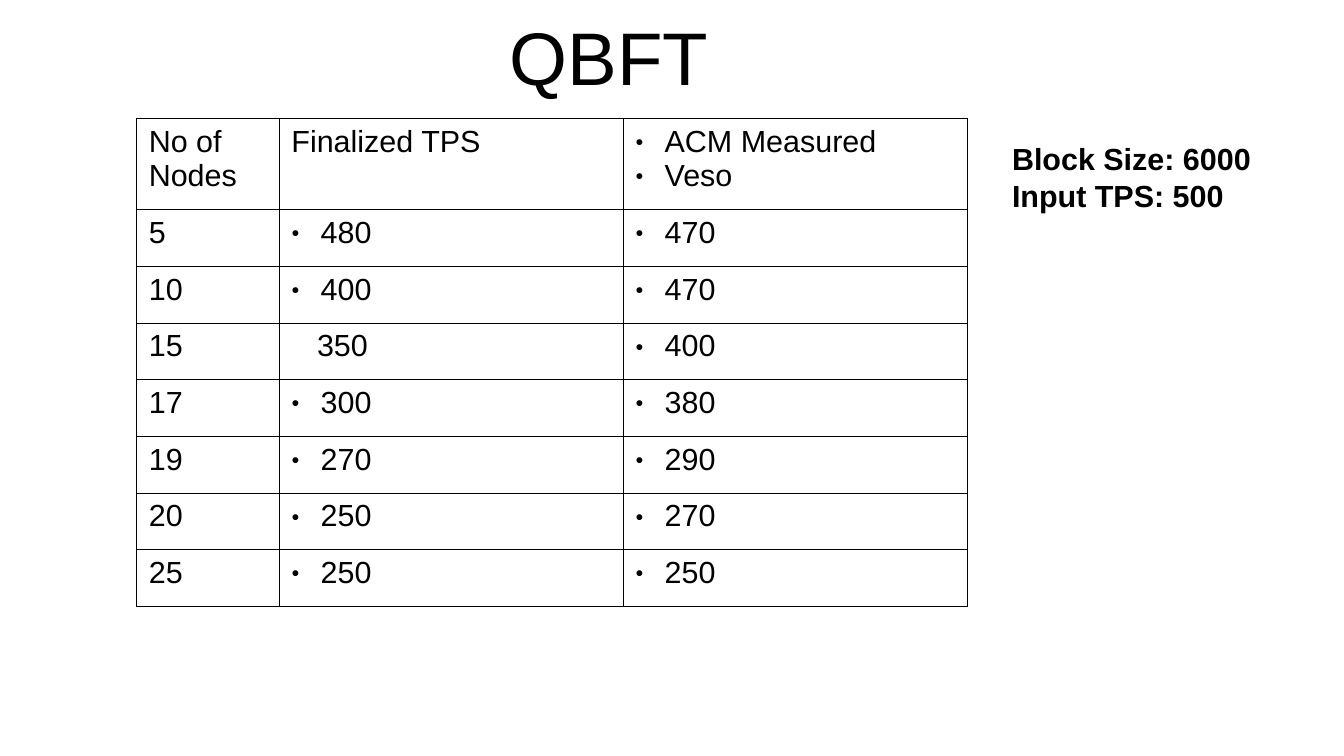
from lxml import etree
from pptx import Presentation, util as u
from pptx.dml.color import RGBColor
from pptx.enum import text
from pptx.oxml import ns

# Content
TITLE = "QBFT "
HEADERS = ("No of Nodes", "Finalized TPS", "ACM Measured\nVeso")
RESULTS = [
    ("5", "480", "470"),
    ("10", "400", "470"),
    ("15", "350", "400"),
    ("17", "300", "380"),
    ("19", "270", "290"),
    ("20", "250", "270"),
    ("25", "250", "250"),
]
SETTINGS = ("Block Size: 6000", "Input TPS: 500")
UNBULLETED = (3, 1)  # row and column of the plain indented value

# Style
BLACK = RGBColor(0x00, 0x00, 0x00)
FONT = "Arial"
BODY_SIZE = 18
BORDER_WIDTH = u.Pt(0.57)
BULLET_INDENT = u.Inches(0.24)
PLAIN_INDENT = u.Inches(0.21)
COLUMN_WIDTHS = (1.17, 2.82, 2.82)
HEADER_HEIGHT, ROW_HEIGHT = 0.75, 0.465


def add_run(paragraph, words, size=BODY_SIZE, bold=False):
    run = paragraph.add_run()
    run.text = words
    run.font.name = FONT
    run.font.size = u.Pt(size)
    run.font.bold = bold
    run.font.color.rgb = BLACK


def add_lines(frame, lines, bold=False):
    paragraphs = [frame.paragraphs[0]]
    paragraphs += [frame.add_paragraph() for _ in lines[1:]]
    for paragraph, line in zip(paragraphs, lines):
        add_run(paragraph, line, bold=bold)
    return paragraphs


def add_element(parent, tag, **attributes):
    element = etree.SubElement(parent, ns.qn(tag))
    for name, value in attributes.items():
        element.set(name, str(value))
    return element


def add_bullet(paragraph):
    properties = paragraph._p.get_or_add_pPr()
    properties.set("marL", str(BULLET_INDENT))
    properties.set("indent", str(-BULLET_INDENT))
    color = add_element(properties, "a:buClr")
    add_element(color, "a:srgbClr", val=BLACK)
    add_element(properties, "a:buSzPct", val=45000)
    add_element(properties, "a:buFont", typeface=FONT)
    add_element(properties, "a:buChar", char="●")


def add_borders(cell):
    properties = cell._tc.get_or_add_tcPr()
    for position, side in enumerate(("a:lnL", "a:lnR", "a:lnT", "a:lnB")):
        line = add_element(properties, side, w=BORDER_WIDTH)
        fill = add_element(line, "a:solidFill")
        add_element(fill, "a:srgbClr", val=BLACK)
        properties.insert(position, line)


def fill_cell(cell, words, row, column):
    cell.fill.background()
    add_borders(cell)
    paragraphs = add_lines(cell.text_frame, words.split("\n"))
    if (row, column) == UNBULLETED:
        paragraphs[0]._p.get_or_add_pPr().set("marL", str(PLAIN_INDENT))
    elif column == 2 or (column == 1 and row > 0):
        for paragraph in paragraphs:
            add_bullet(paragraph)


def add_title(slide):
    title = slide.shapes.title
    title.left, title.top = u.Inches(1.7), u.Inches(0.12)
    title.width, title.height = u.Inches(6.75), u.Inches(0.68)
    frame = title.text_frame
    frame.auto_size = text.MSO_AUTO_SIZE.NONE
    frame.vertical_anchor = text.MSO_ANCHOR.MIDDLE
    frame.margin_left = frame.margin_right = 0
    frame.margin_top = frame.margin_bottom = 0
    frame.paragraphs[0].alignment = text.PP_ALIGN.CENTER
    add_run(frame.paragraphs[0], TITLE, size=44)


def add_results_table(slide):
    rows = [HEADERS] + RESULTS
    heights = [HEADER_HEIGHT] + [ROW_HEIGHT] * len(RESULTS)
    table = slide.shapes.add_table(
        len(rows), len(HEADERS), u.Inches(1.12), u.Inches(0.97),
        u.Inches(sum(COLUMN_WIDTHS)), u.Inches(sum(heights))).table
    table.first_row = table.horz_banding = False
    for column, width in zip(table.columns, COLUMN_WIDTHS):
        column.width = u.Inches(width)
    for row, height in zip(table.rows, heights):
        row.height = u.Inches(height)
    for row, values in enumerate(rows):
        for column, words in enumerate(values):
            fill_cell(table.cell(row, column), words, row, column)


def add_settings(slide):
    box = slide.shapes.add_textbox(
        u.Inches(8.2), u.Inches(1.1), u.Inches(2.24), u.Inches(0.94))
    box.text_frame.word_wrap = True
    add_lines(box.text_frame, SETTINGS, bold=True)


def main():
    presentation = Presentation()
    presentation.slide_width = u.Inches(11.02)
    presentation.slide_height = u.Inches(6.2)
    slide = presentation.slides.add_slide(presentation.slide_layouts[5])
    add_title(slide)
    add_results_table(slide)
    add_settings(slide)
    presentation.save("out.pptx")


if __name__ == "__main__":
    main()
